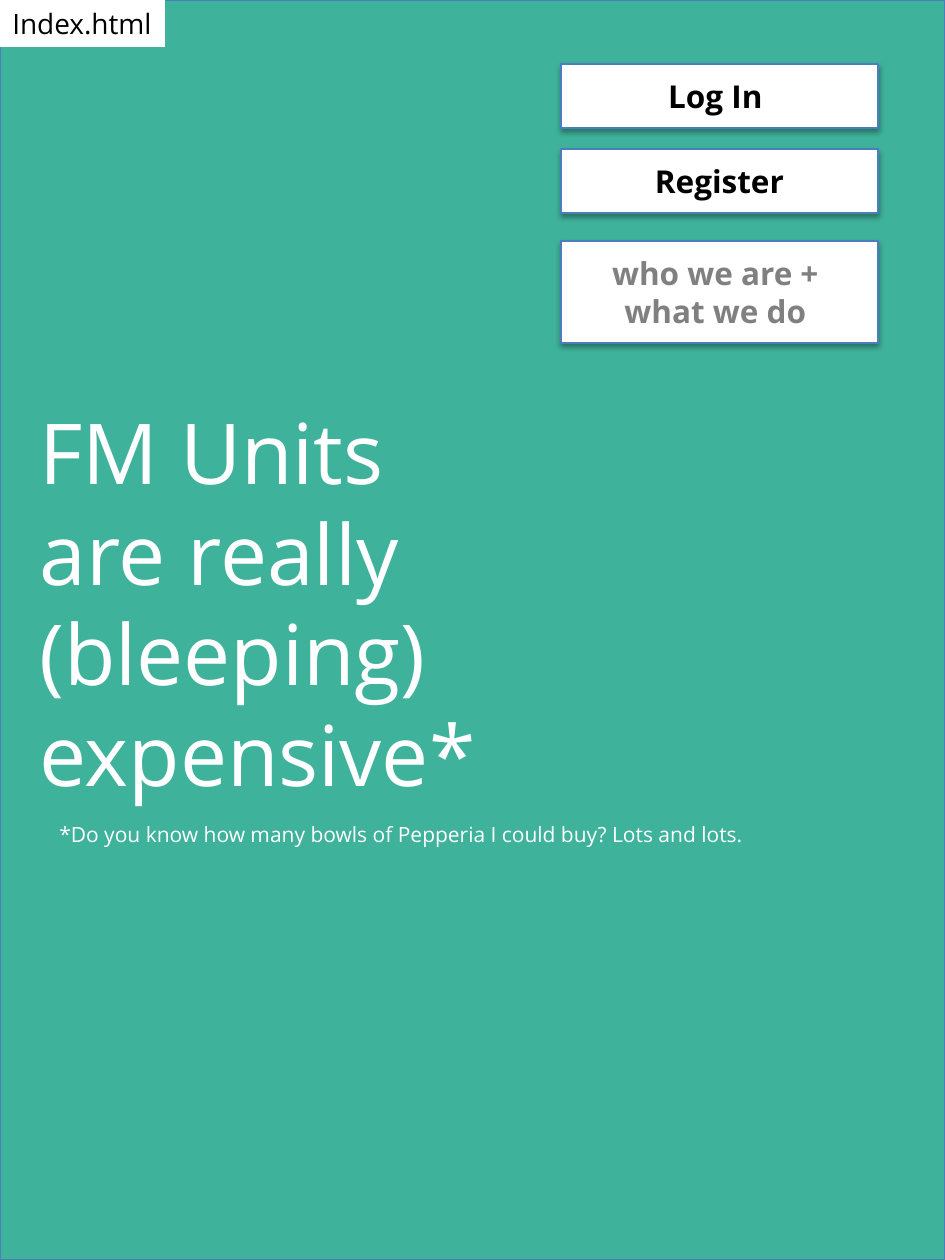
from lxml.etree import SubElement
from pptx import Presentation
from pptx.dml.color import RGBColor
from pptx.enum.shapes import MSO_SHAPE as Preset
from pptx.enum.text import MSO_ANCHOR as Anchor, PP_ALIGN as Align
from pptx.oxml.ns import qn
from pptx.util import Pt

PAGE = (945, 1260)
EMU_PER_PIXEL = 914400 / 126
COLORS = {
    "teal": "3FB29C",
    "edge": "4B7EBC",
    "white": "FFFFFF",
    "black": "000000",
    "gray": "808080",
}
BUTTON_LEFT, BUTTON_WIDTH = 561, 317
BUTTONS = [
    (64, 64, ["Log In "], "black"),
    (149, 64, ["Register"], "black"),
    (241, 102, ["who we are + ", "what we do "], "gray"),
]
FOOTNOTE = ("*Do you know how many bowls of Pepperia I could buy? Lots and lots. ",
            (47, 815, 830, 38), 12, "white")
HEADLINE = ("FM Units are really (bleeping) expensive*", (27, 394, 469, 420), 48, "white")
PAGE_NAME = ("Index.html", (0, 0, 165, 47), 16, "black")
SHADOW = {"blurRad": Pt(3.15), "dist": Pt(1.81), "dir": 5400000, "rotWithShape": 0}
SHADOW_ALPHA = 35000


def px(value):
    return round(value * EMU_PER_PIXEL)


def rgb(name):
    return RGBColor.from_string(COLORS[name])


def write(frame, lines, color, formats, align=Align.LEFT):
    frame.text = "\n".join(lines)
    for paragraph in frame.paragraphs:
        paragraph.alignment = align
        font = paragraph.runs[0].font
        font.color.rgb = rgb(color)
        for name, value in formats.items():
            setattr(font, name, value)


def add_panel(box, fill):
    panel = slide.shapes.add_shape(Preset.RECTANGLE, *map(px, box))
    panel.fill.solid()
    panel.fill.fore_color.rgb = rgb(fill)
    panel.line.color.rgb = rgb("edge")
    panel.line.width = Pt(0.75)
    panel.shadow.inherit = False
    effects = panel._element.spPr.find(qn("a:effectLst"))
    outer = SubElement(effects, qn("a:outerShdw"),
                       {name: str(value) for name, value in SHADOW.items()})
    tint = SubElement(outer, qn("a:srgbClr"), val=COLORS["black"])
    SubElement(tint, qn("a:alpha"), val=str(SHADOW_ALPHA))
    return panel


def add_text(wording, box, size, color, wrap=True):
    label = slide.shapes.add_textbox(*map(px, box))
    label.text_frame.word_wrap = wrap
    write(label.text_frame, [wording], color, {"name": "Open Sans", "size": Pt(size)})
    return label


deck = Presentation()
deck.slide_width, deck.slide_height = map(px, PAGE)
slide = deck.slides.add_slide(deck.slide_layouts[6])

add_panel((0, 0, *PAGE), "teal")
add_text(*FOOTNOTE)
for top, height, lines, color in BUTTONS:
    button = add_panel((BUTTON_LEFT, top, BUTTON_WIDTH, height), "white")
    button.text_frame.vertical_anchor = Anchor.MIDDLE
    write(button.text_frame, lines, color,
          {"name": "Open Sans", "size": Pt(18), "bold": True}, Align.CENTER)
add_text(*HEADLINE)
page_name = add_text(*PAGE_NAME, wrap=False)
page_name.fill.solid()
page_name.fill.fore_color.rgb = rgb("white")

deck.save("out.pptx")
